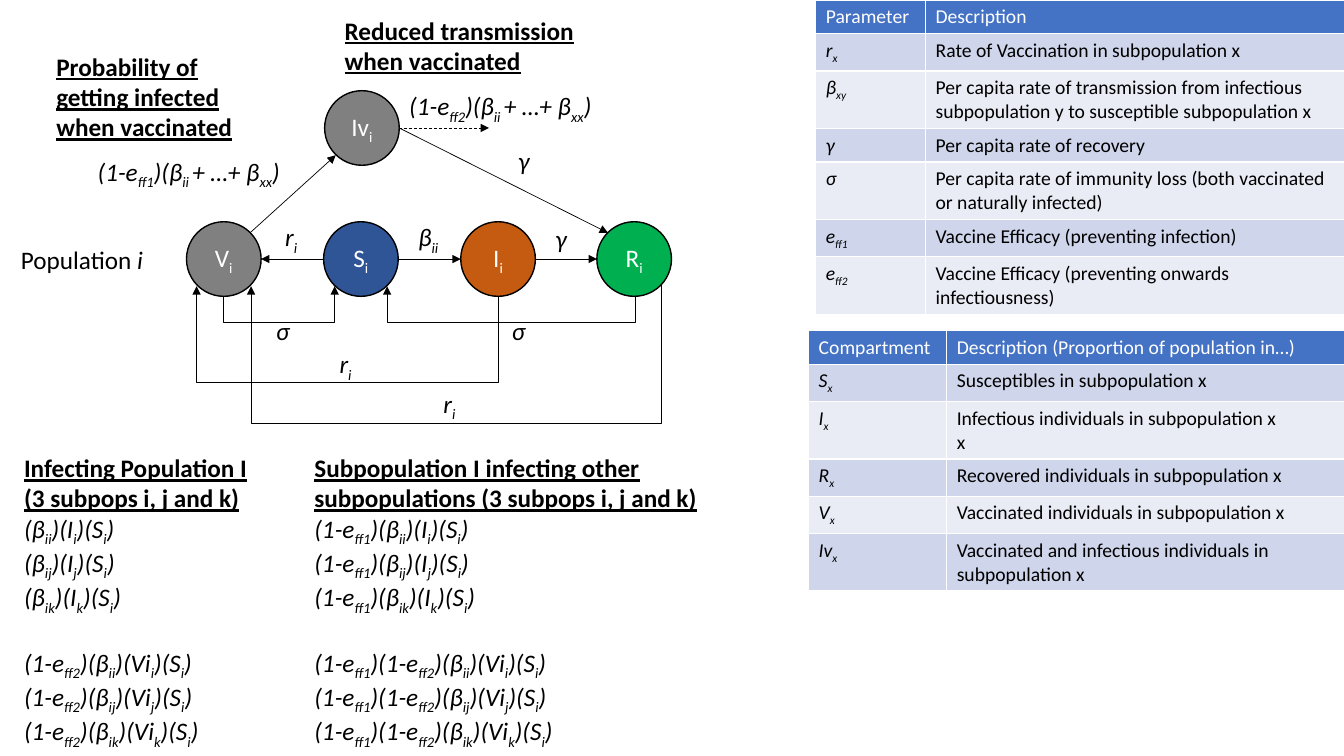
from lxml import etree
from pptx import Presentation
from pptx import util as u
from pptx.dml.color import RGBColor
from pptx.enum import dml, shapes, text
from pptx.oxml import ns

FONT = "Calibri"
BLACK = RGBColor(0x00, 0x00, 0x00)
WHITE = RGBColor(0xFF, 0xFF, 0xFF)
GREY = RGBColor(0x80, 0x80, 0x80)
NAVY = RGBColor(0x2F, 0x55, 0x97)
ORANGE = RGBColor(0xC5, 0x5A, 0x11)
GREEN = RGBColor(0x00, 0xB0, 0x50)
HEADER = RGBColor(0x44, 0x72, 0xC4)
BANDS = (RGBColor(0xCF, 0xD5, 0xEA), RGBColor(0xE9, 0xEB, 0xF5))

# Content: text between underscores is subscript
SIZE = 0.74
COMPARTMENTS = [  # text, left, top, fill
    ("S_i_", 3.21, 2.2, NAVY),
    ("V_i_", 1.85, 2.2, GREY),
    ("I_i_", 4.57, 2.2, ORANGE),
    ("R_i_", 5.92, 2.2, GREEN),
    ("Iv_i_", 3.22, 0.9, GREY),
]
ARROWS = [  # from, to, dashed
    ((3.21, 2.57), (2.59, 2.57), False),
    ((3.95, 2.57), (4.57, 2.57), False),
    ((5.31, 2.57), (5.92, 2.57), False),
    ((2.48, 2.31), (3.33, 1.54), False),
    ((3.96, 1.27), (4.85, 1.27), True),
    ((3.96, 1.27), (6.03, 2.31), False),
]
LOOPS = [  # from, to, level of the horizontal run
    ((2.22, 2.95), (3.32, 2.84), 3.2),
    ((6.3, 2.95), (3.84, 2.84), 3.2),
    ((4.94, 2.95), (1.95, 2.84), 3.79),
    ((6.56, 2.83), (2.49, 2.84), 4.22),
]
RATES = [  # text, left, top, width, wrap
    ("r_i_", 2.73, 2.15, 0.33, True),
    ("β_ii_", 4.05, 2.15, 0.41, False),
    ("γ", 5.41, 2.17, 0.31, False),
    ("γ", 5.04, 1.39, 0.31, False),
    ("(1-e_ff1_)(β_ii _+ …+ β_xx_)", 0.87, 1.5, 2.19, False),
    ("(1-e_ff2_)(β_ii _+ …+ β_xx_)", 3.96, 0.85, 2.11, False),
    ("σ", 2.64, 3.08, 0.33, True),
    ("σ", 4.98, 3.08, 0.33, True),
    ("r_i_", 3.27, 3.41, 0.33, True),
    ("r_i_", 4.3, 3.8, 0.33, True),
]
HEADINGS = [  # text, left, top, width, height
    ("Probability of getting infected when vaccinated", 0.46, 0.46, 2.02, 1.01),
    ("Reduced transmission when vaccinated", 3.32, 0.1, 2.62, 0.71),
]
EQUATIONS = [  # headings, prefix, left, width, wrap
    (["Infecting Population I", "(3 subpops i, j and k)"], "", 0.14, 2.43, False),
    (["Subpopulation I infecting other subpopulations (3 subpops i, j and k)"],
     "(1-e_ff1_)", 3.02, 4.36, True),
]
TABLES = [  # left, top, column widths, row heights, rows
    (8.09, 0, (1.09, 4.16), (0.33, 0.37, 0.57, 0.33, 0.57, 0.37, 0.57), [
        ("Parameter", "Description"),
        ("r_x_", "Rate of Vaccination in subpopulation x"),
        ("β_xy_", "Per capita rate of transmission from infectious "
                  "subpopulation y to susceptible subpopulation x"),
        ("γ", "Per capita rate of recovery"),
        ("σ", "Per capita rate of immunity loss (both vaccinated or naturally infected)"),
        ("e_ff1_", "Vaccine Efficacy (preventing infection)"),
        ("e_ff2_", "Vaccine Efficacy (preventing onwards infectiousness)"),
    ]),
    (8.02, 3.28, (1.37, 3.95), (0.33, 0.37, 0.57, 0.37, 0.37, 0.57), [
        ("Compartment", "Description (Proportion of population in…)"),
        ("S_x_", "Susceptibles in subpopulation x"),
        ("I_x_", "Infectious individuals in subpopulation x\nx"),
        ("R_x_", "Recovered individuals in subpopulation x"),
        ("V_x_", "Vaccinated individuals in subpopulation x"),
        ("Iv_x_", "Vaccinated and infectious individuals in subpopulation x"),
    ]),
]


def write(para, markup, size=18, color=BLACK, italic=False, heading=False):
    for index, piece in enumerate(markup.split("_")):
        if piece:
            span = para.add_run()
            span.text = piece
            font = span.font
            font.name, font.size, font.italic = FONT, u.Pt(size), italic
            font.bold = font.underline = heading
            font.color.rgb = color
            if index % 2:
                font._element.set("baseline", "-25000")


def add_box(left, top, width, height=0.4, wrap=True):
    box = page.shapes.add_textbox(*map(u.Inches, (left, top, width, height)))
    frame = box.text_frame
    frame.word_wrap = wrap
    frame.auto_size = text.MSO_AUTO_SIZE.SHAPE_TO_FIT_TEXT
    return frame


def add_solid(kind, left, top, width, height, fill, line):
    shape = page.shapes.add_shape(kind, *map(u.Inches, (left, top, width, height)))
    shape.shadow.inherit = False
    shape.fill.solid()
    shape.fill.fore_color.rgb = fill
    shape.line.color.rgb = line
    shape.line.width = u.Pt(1)
    return shape


def add_arrow(kind, start, end, dashed=False):
    arrow = page.shapes.add_connector(kind, *map(u.Inches, start + end))
    arrow.line.color.rgb = BLACK
    arrow.line.width = u.Pt(0.5)
    if dashed:
        arrow.line.dash_style = dml.MSO_LINE.DASH
    properties = arrow._element.spPr
    outline = properties.find(ns.qn("a:ln"))
    etree.SubElement(outline, ns.qn("a:tailEnd"), type="triangle")
    etree.SubElement(properties, ns.qn("a:effectLst"))
    return arrow


def add_loop(start, end, level):
    """Elbow that drops to a level and comes back up: a quarter-turned connector."""
    loop = add_arrow(shapes.MSO_CONNECTOR.ELBOW, start, end)
    (x1, y1), (x2, y2) = start, end
    width, height = abs(y2 - y1), abs(x2 - x1)
    loop.left = u.Inches((x1 + x2 - width) / 2)
    loop.top = u.Inches((y1 + y2 - height) / 2)
    loop.width, loop.height = u.Inches(width), u.Inches(height)
    properties = loop._element.spPr
    frame = properties.find(ns.qn("a:xfrm"))
    frame.set("rot", "5400000")
    frame.set("flipH", str(int(y2 < y1)))
    frame.set("flipV", str(int(x2 > x1)))
    geometry = properties.find(ns.qn("a:prstGeom"))
    guides = geometry.find(ns.qn("a:avLst"))
    bend = round(100000 * (level - y1) / (y2 - y1))
    etree.SubElement(guides, ns.qn("a:gd"), name="adj1", fmla=f"val {bend}")


deck = Presentation()
deck.slide_width, deck.slide_height = u.Inches(13.33), u.Inches(7.5)
page = deck.slides.add_slide(deck.slide_layouts[6])

# Diagram backdrop and compartments
add_solid(shapes.MSO_SHAPE.RECTANGLE, 0, 0, 7.38, 4.29, WHITE, WHITE)
for label, left, top, fill in COMPARTMENTS:
    circle = add_solid(shapes.MSO_SHAPE.OVAL, left, top, SIZE, SIZE, fill, BLACK)
    circle.text_frame.word_wrap = False
    circle.text_frame.vertical_anchor = text.MSO_ANCHOR.MIDDLE
    para = circle.text_frame.paragraphs[0]
    para.alignment = text.PP_ALIGN.CENTER
    write(para, label, color=WHITE)

# Flows
for start, end, dashed in ARROWS:
    add_arrow(shapes.MSO_CONNECTOR.STRAIGHT, start, end, dashed)
for start, end, level in LOOPS:
    add_loop(start, end, level)

# Labels
para = add_box(0.11, 2.37, 1.43, wrap=False).paragraphs[0]
write(para, "Population ")
write(para, "i", italic=True)
for label, left, top, width, wrap in RATES:
    write(add_box(left, top, width, wrap=wrap).paragraphs[0], label, italic=True)
for label, *place in HEADINGS:
    write(add_box(*place).paragraphs[0], label, heading=True)

# Equations: one line per subpopulation, unvaccinated then vaccinated
for headings, prefix, left, width, wrap in EQUATIONS:
    frame = add_box(left, 4.44, width, 2.83, wrap)
    for index, heading in enumerate(headings):
        para = frame.add_paragraph() if index else frame.paragraphs[0]
        write(para, heading, heading=True)
    for factor, infected in (("", "I"), ("(1-e_ff2_)", "Vi")):
        for source in "ijk":
            para = frame.add_paragraph()
            if factor and source == "i":
                para.space_before = u.Pt(22)
            write(para, f"{prefix}{factor}(β_i{source}_)({infected}_{source}_)(S_i_)",
                  italic=True)

# Tables
for left, top, widths, heights, rows in TABLES:
    table = page.shapes.add_table(
        len(rows), len(widths),
        *map(u.Inches, (left, top, sum(widths), sum(heights)))).table
    for column, width in zip(table.columns, widths):
        column.width = u.Inches(width)
    for r, (height, row) in enumerate(zip(heights, rows)):
        table.rows[r].height = u.Inches(height)
        for c, content in enumerate(row):
            cell = table.cell(r, c)
            cell.fill.solid()
            cell.fill.fore_color.rgb = BANDS[(r - 1) % 2] if r else HEADER
            for index, line in enumerate(content.split("\n")):
                frame = cell.text_frame
                para = frame.add_paragraph() if index else frame.paragraphs[0]
                write(para, line, 14, BLACK if r else WHITE, italic=r > 0 and c == 0)

deck.save("out.pptx")
